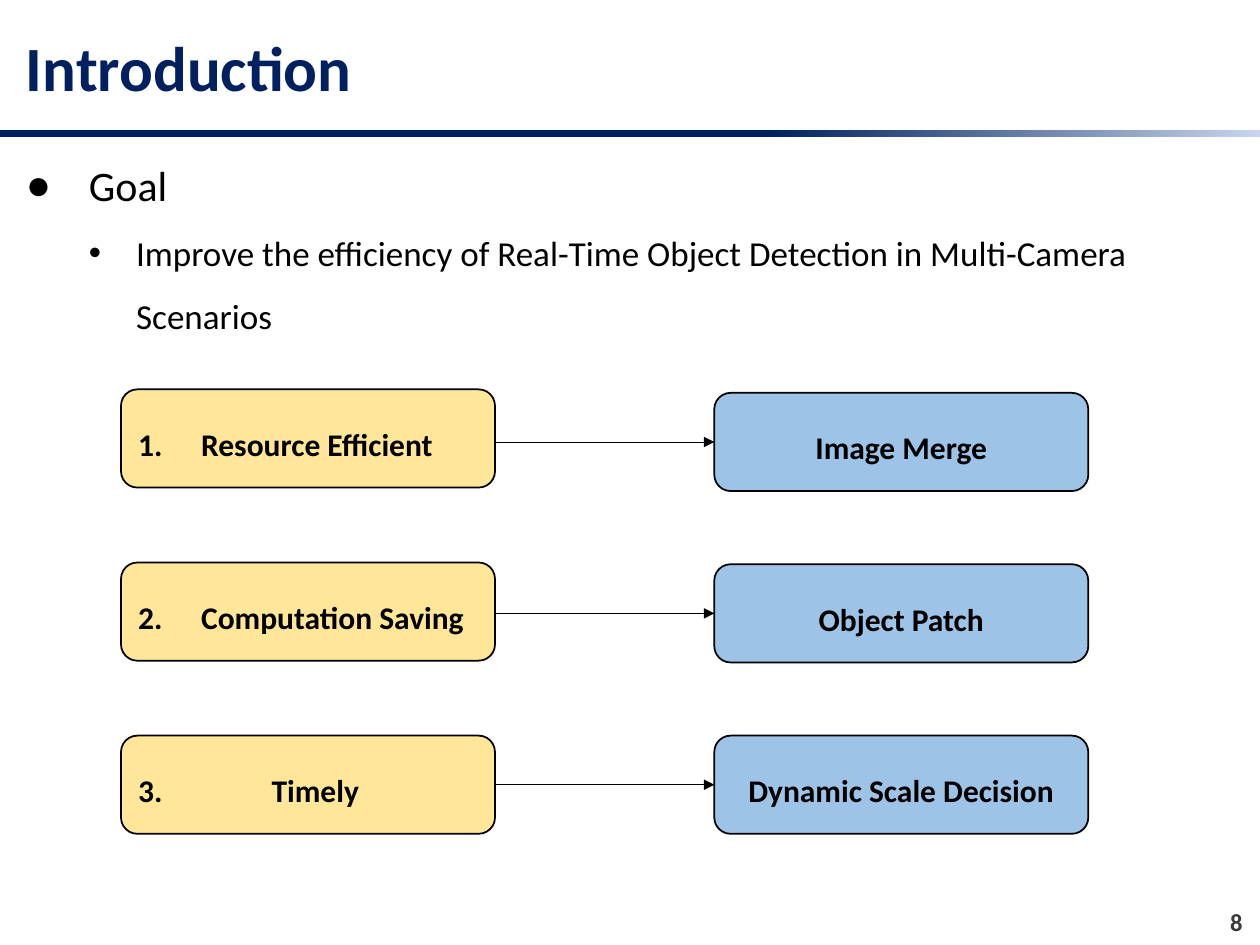
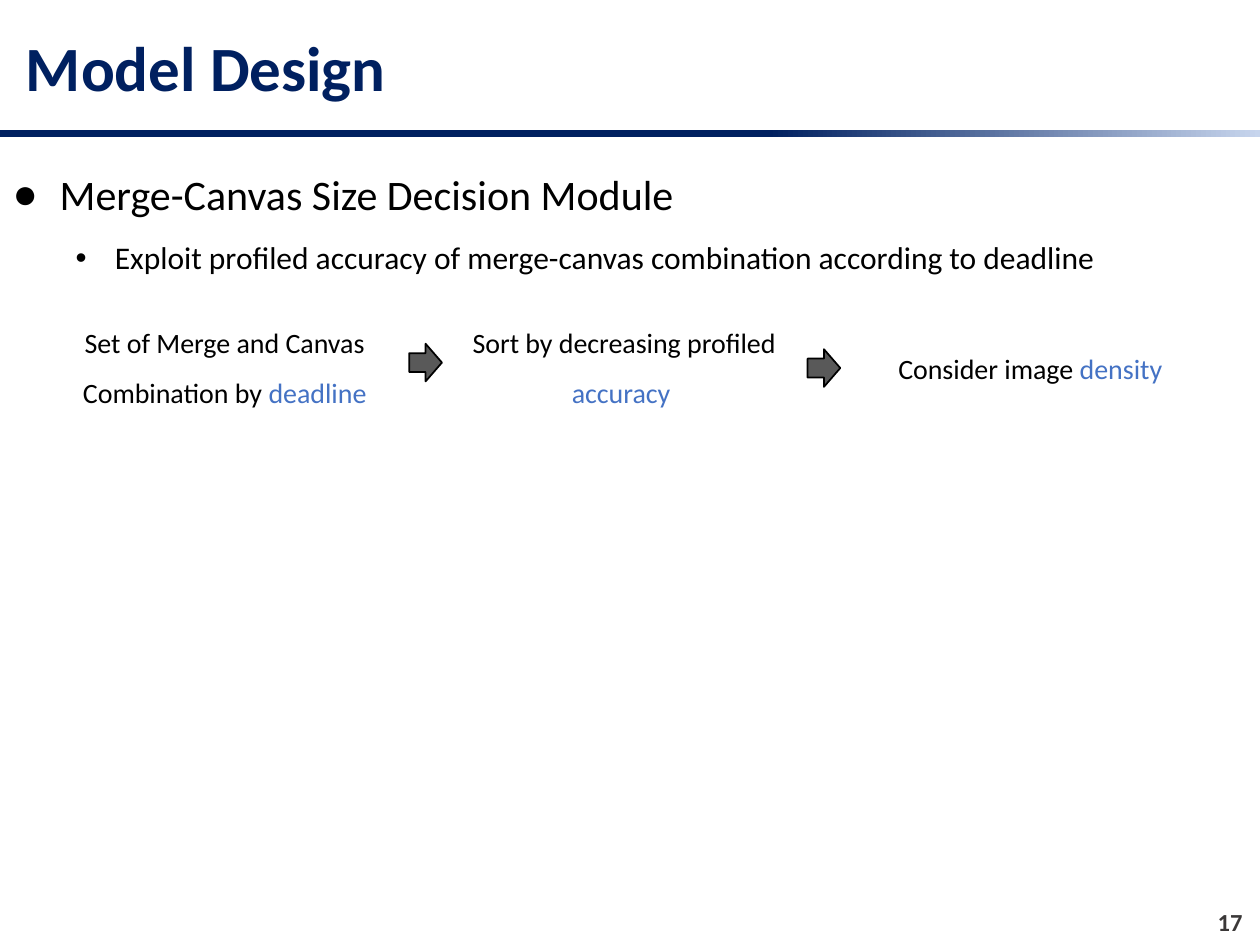
from lxml.etree import SubElement
from pptx import Presentation
from pptx.dml.color import RGBColor
from pptx.enum.shapes import MSO_CONNECTOR, MSO_SHAPE
from pptx.enum.text import MSO_ANCHOR, MSO_AUTO_SIZE, PP_ALIGN
from pptx.oxml.ns import qn
from pptx.util import Cm, Pt

COLORS = {
    "navy": "002060",
    "mist": "C7D5ED",
    "black": "000000",
    "white": "FFFFFF",
    "page": "3B3838",
    "goal": "FFE699",
    "method": "9DC3E6",
    "accent": "4472C4",
    "arrow": "595959",
}
FONT = "Calibri"
LINE_SPACING = 1.5


def rgb(name):
    return RGBColor.from_string(COLORS[name])


def place(shape, left, top, width, height):
    shape.left, shape.top = Cm(left), Cm(top)
    shape.width, shape.height = Cm(width), Cm(height)


def add_run(paragraph, text, size, color="black", bold=False):
    run = paragraph.add_run()
    run.text = text
    run.font.name = FONT
    run.font.size = Pt(size)
    run.font.bold = bold
    run.font.color.rgb = rgb(color)


def set_marker(paragraph, tag, margin, hanging, **attributes):
    """Give a paragraph a bullet or number with a hanging indent in cm."""
    properties = paragraph._p.get_or_add_pPr()
    properties.set("marL", str(Cm(margin)))
    properties.set("indent", str(-Cm(hanging)))
    marker = SubElement(properties, qn(tag))
    for key, value in attributes.items():
        marker.set(key, str(value))


def add_outlined(slide, preset, box, fill):
    shape = slide.shapes.add_shape(preset, *map(Cm, box))
    shape.shadow.inherit = False
    shape.fill.solid()
    shape.fill.fore_color.rgb = rgb(fill)
    shape.line.color.rgb = rgb("black")
    shape.line.width = Pt(1)
    return shape


def add_band(slide, left, top, width, height):
    band = slide.shapes.add_shape(
        MSO_SHAPE.RECTANGLE, Cm(left), Cm(top), Cm(width), Cm(height))
    band.shadow.inherit = False
    band.line.fill.background()
    band.fill.gradient()
    band.fill.gradient_angle = 0
    stops = ((0.61, "navy"), (1, "mist"))
    for stop, (position, color) in zip(band.fill.gradient_stops, stops):
        stop.position = position
        stop.color.rgb = rgb(color)


def add_page_number(slide, number, left, top, width, height):
    page = slide.shapes.add_textbox(Cm(left), Cm(top), Cm(width), Cm(height))
    paragraph = page.text_frame.paragraphs[0]
    page.text_frame.word_wrap = True
    paragraph.alignment = PP_ALIGN.RIGHT
    add_run(paragraph, str(number), 14, "page", bold=True)


def add_topic_slide(prs, heading, number):
    slide = prs.slides.add_slide(prs.slide_layouts[1])
    add_band(slide, 0, 2.63, 25.4, 0.14)
    title = slide.shapes.title
    place(title, 0.27, 0.33, 24.1, 2.03)
    title.text_frame.vertical_anchor = MSO_ANCHOR.MIDDLE
    title.text_frame.auto_size = MSO_AUTO_SIZE.NONE
    paragraph = title.text_frame.paragraphs[0]
    paragraph.alignment = PP_ALIGN.LEFT
    add_run(paragraph, heading, 36, "navy", bold=True)
    add_page_number(slide, number, 24.23, 18.16, 1.07, 0.76)
    return slide


def fill_outline(slide, box, items):
    """Fill the body with (text, size, bullet, margin, hanging) per level."""
    body = slide.placeholders[1]
    place(body, *box)
    frame = body.text_frame
    frame.auto_size = MSO_AUTO_SIZE.NONE
    for level, (text, size, bullet, margin, hanging) in enumerate(items):
        paragraph = frame.add_paragraph() if level else frame.paragraphs[0]
        paragraph.level = level
        set_marker(paragraph, "a:buChar", margin, hanging, char=bullet)
        paragraph.line_spacing = LINE_SPACING
        paragraph.space_before = Pt(0)
        add_run(paragraph, text, size)


def add_label_box(slide, box, fill, text):
    label = add_outlined(slide, MSO_SHAPE.ROUNDED_RECTANGLE, box, fill)
    frame = label.text_frame
    frame.word_wrap = True
    frame.vertical_anchor = MSO_ANCHOR.MIDDLE
    frame.margin_bottom = Cm(0.3)
    paragraph = frame.paragraphs[0]
    paragraph.alignment = PP_ALIGN.CENTER
    paragraph.line_spacing = LINE_SPACING
    add_run(paragraph, text, 18, bold=True)
    return label


def add_arrow_to(slide, target, start_x):
    """Draw a level arrow from start_x to the left side of the target."""
    middle = target.top + target.height // 2
    arrow = slide.shapes.add_connector(
        MSO_CONNECTOR.STRAIGHT, Cm(start_x), middle, target.left, middle)
    arrow.end_connect(target, 1)
    arrow.line.color.rgb = rgb("black")
    arrow.line.width = Pt(0.5)
    properties = arrow._element.spPr
    SubElement(properties.find(qn("a:ln")), qn("a:tailEnd")).set("type", "triangle")
    SubElement(properties, qn("a:effectLst"))


def add_goal_rows(slide, left, top, width, height, rows):
    """Link each numbered goal at the left to its method at the right."""
    box_width, box_height = 7.54, 1.98
    goal_pitch = (height - box_height) / (len(rows) - 1)
    method_drop = 0.07
    method_pitch = goal_pitch - method_drop / (len(rows) - 1)
    for index, (goal, method, indent) in enumerate(rows):
        goal_box = (left, top + index * goal_pitch, box_width, box_height)
        goal_label = add_label_box(slide, goal_box, "goal", goal)
        paragraph = goal_label.text_frame.paragraphs[0]
        paragraph.alignment = PP_ALIGN.LEFT
        set_marker(paragraph, "a:buAutoNum", indent, indent,
                   type="arabicPeriod", startAt=index + 1)
        method_box = (left + width - box_width,
                      top + method_drop + index * method_pitch,
                      box_width, box_height)
        method_label = add_label_box(slide, method_box, "method", method)
        add_arrow_to(slide, method_label, left + box_width)


def add_step(slide, box, lines):
    step = slide.shapes.add_textbox(*map(Cm, box))
    step.fill.solid()
    step.fill.fore_color.rgb = rgb("white")
    frame = step.text_frame
    frame.word_wrap = True
    for index, runs in enumerate(lines):
        paragraph = frame.add_paragraph() if index else frame.paragraphs[0]
        paragraph.alignment = PP_ALIGN.CENTER
        paragraph.line_spacing = LINE_SPACING
        for text, color in runs:
            add_run(paragraph, text, 16, color)


def add_decision_steps(slide, left, top):
    steps = (
        ((0, 0, 6.81, 2.21),
         ([("Set of Merge and Canvas ", "black")],
          [("Combination by ", "black"), ("deadline ", "accent")])),
        ((8.07, 0, 6.65, 2.21),
         ([("Sort by decreasing profiled ", "black"), ("accuracy ", "accent")],)),
        ((16.39, 0.53, 6.38, 1.17),
         ([("Consider image ", "black"), ("density", "accent")],)),
    )
    for (x, y, width, height), lines in steps:
        add_step(slide, (left + x, top + y, width, height), lines)
    for x, y in ((7.06, 0.83), (15.09, 0.94)):
        add_outlined(slide, MSO_SHAPE.RIGHT_ARROW,
                     (left + x, top + y, 0.66, 0.76), "arrow")


def build_introduction(prs):
    slide = add_topic_slide(prs, "Introduction", 8)
    fill_outline(slide, (0.27, 2.59, 25.02, 4.22), (
        ("Goal", 24, "●", 1.27, 1.27),
        ("Improve the efficiency of Real-Time Object Detection in "
         "Multi-Camera Scenarios", 20, "•", 2.22, 0.95),
    ))
    add_goal_rows(slide, 2.44, 7.85, 19.5, 8.96, (
        ("Resource Efficient", "Image Merge", 1.27),
        ("Computation Saving", "Object Patch", 1.27),
        ("Timely", "Dynamic Scale Decision", 2.69),
    ))


def build_model_design(prs):
    slide = add_topic_slide(prs, "Model Design", 17)
    fill_outline(slide, (0, 2.77, 23.95, 2.82), (
        ("Merge-Canvas Size Decision Module", 24, "●", 0.95, 0.95),
        ("Exploit profiled accuracy of merge-canvas combination according "
         "to deadline", 18, "•", 2.06, 0.79),
    ))
    add_decision_steps(slide, 1.19, 6.1)


def main():
    prs = Presentation()
    prs.slide_width, prs.slide_height = Cm(25.4), Cm(19.05)
    build_introduction(prs)
    build_model_design(prs)
    prs.save("out.pptx")


if __name__ == "__main__":
    main()
